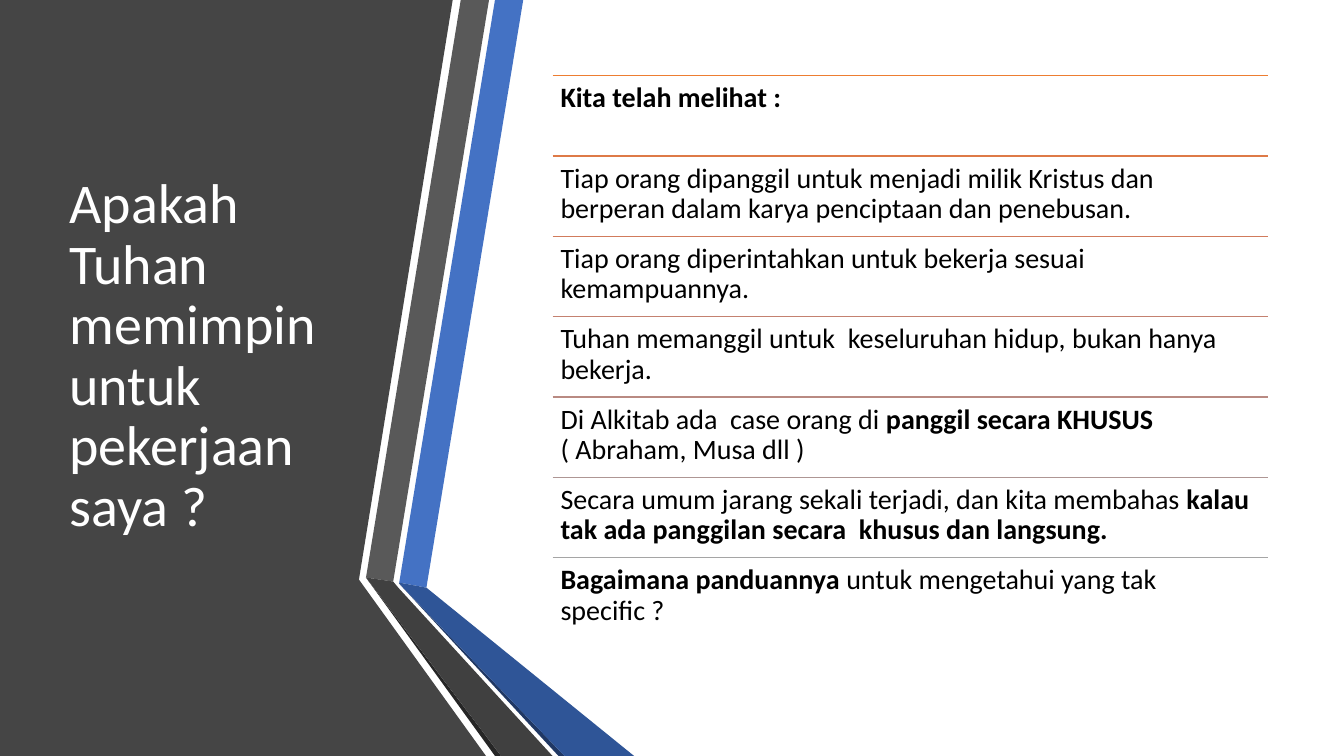
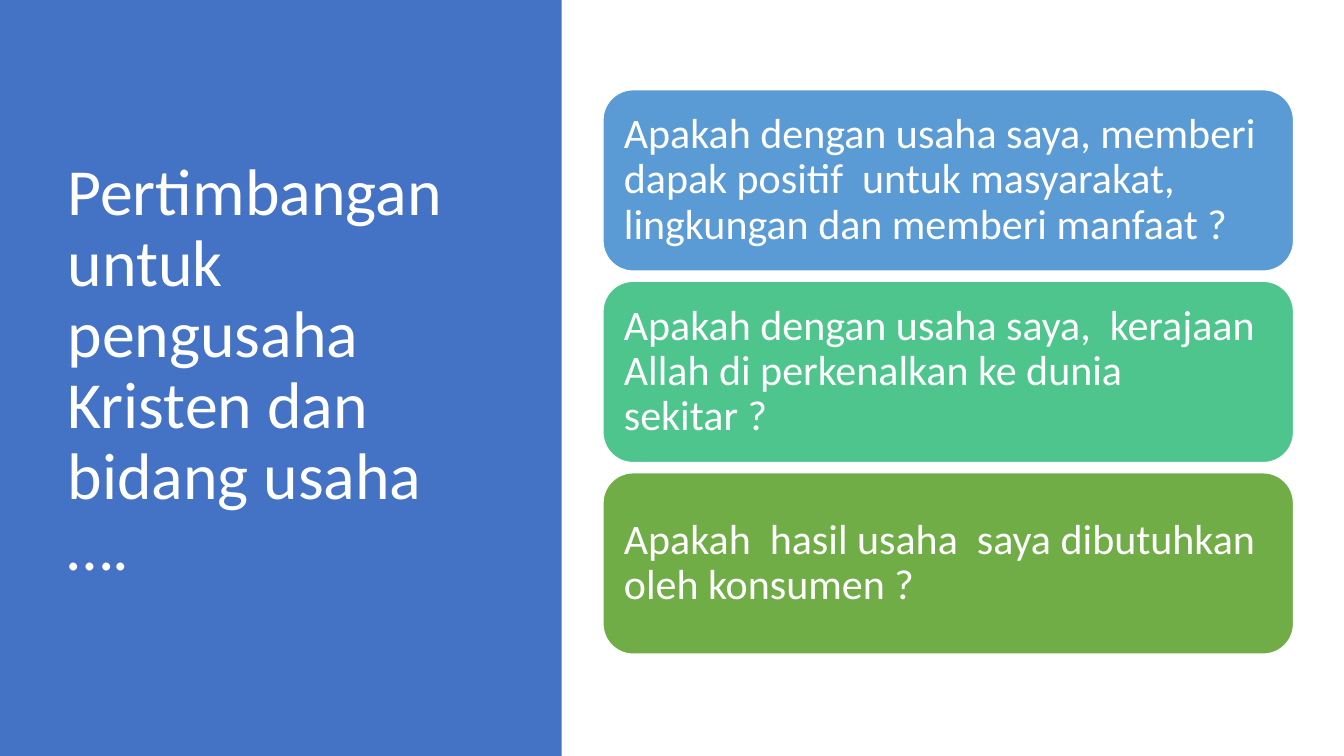
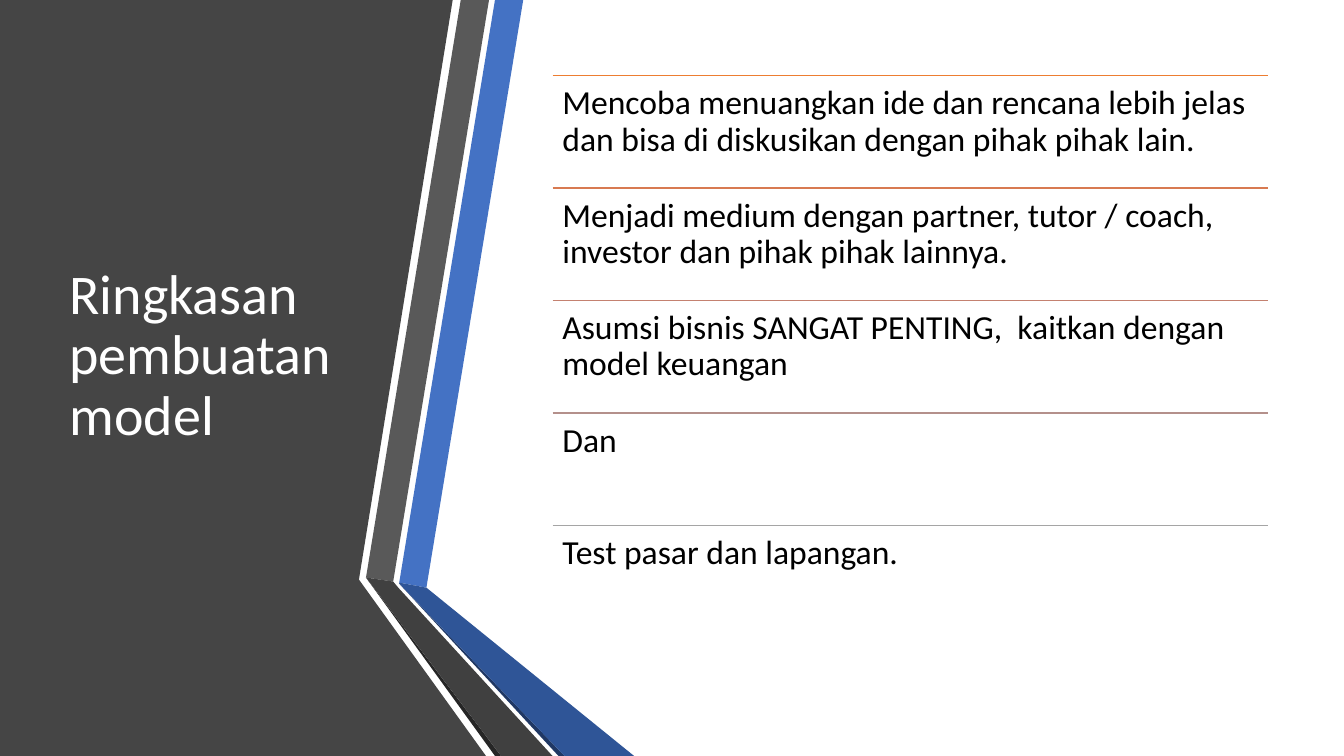
"""Build three slides on calling, business and modelling."""
from lxml.etree import SubElement
from pptx import Presentation
from pptx.dml.color import RGBColor as RGB
from pptx.enum.shapes import MSO_CONNECTOR as LINK, MSO_SHAPE as SHAPE
from pptx.enum.text import MSO_ANCHOR as ANCHOR, MSO_AUTO_SIZE as FIT, PP_ALIGN as ALIGN
from pptx.oxml.ns import qn
from pptx.util import Inches, Pt

WHITE = RGB(0xFF, 0xFF, 0xFF)
BLACK = RGB(0x00, 0x00, 0x00)
BLUE = RGB(0x44, 0x72, 0xC4)
NAVY = RGB(0x20, 0x38, 0x64)
DEEP = RGB(0x2F, 0x55, 0x97)
SLATE = RGB(0x45, 0x45, 0x45)
GREY = RGB(0x59, 0x59, 0x59)
COAL = RGB(0x40, 0x40, 0x40)
INK = RGB(0x26, 0x26, 0x26)
SKY = RGB(0x5B, 0x9B, 0xD5)
MINT = RGB(0x4D, 0xC5, 0x8D)
GREEN = RGB(0x70, 0xAD, 0x47)
ORANGE = RGB(0xED, 0x7D, 0x31)
AMBER = RGB(0xDE, 0x7A, 0x47)
RUST = RGB(0xD8, 0x7A, 0x51)
CLAY = RGB(0xD1, 0x7B, 0x5C)
ROSE = RGB(0xC4, 0x81, 0x70)
DUSK = RGB(0xB9, 0x8A, 0x82)
TAUPE = RGB(0xB4, 0x90, 0x8B)
MAUVE = RGB(0xAE, 0x96, 0x94)
SILVER = RGB(0xA5, 0xA5, 0xA5)

WIDE, HIGH = 13.33, 7.5
LEFT, TOP, WIDTH, HEIGHT = 5.48, 0.75, 7.1, 5.58

BANDS = [
    (SLATE, [(0, 0), (4.49, 0), (3.56, 5.75), (4.82, 7.5), (0, 7.5)]),
    (BLUE, [(3.96, 5.78), (4.23, 5.83), (5.19, 0), (4.91, 0)]),
    (GREY, [(4.85, 0), (4.57, 0), (3.63, 5.73), (3.9, 5.77)]),
    (INK, [(3.63, 5.73), (4.91, 7.5), (4.97, 7.5)]),
    (NAVY, [(3.96, 5.79), (5.54, 7.5), (5.6, 7.5)]),
    (DEEP, [(3.96, 5.79), (5.6, 7.5), (6.29, 7.5), (4.23, 5.83), (3.96, 5.78)]),
    (COAL, [(5.48, 7.5), (3.95, 5.83), (3.9, 5.77), (3.63, 5.73), (4.97, 7.5)]),
]

CALLS = [
    (ORANGE, "|Kita telah melihat :"),
    (AMBER, "Tiap orang dipanggil untuk menjadi milik Kristus dan berperan "
            "dalam karya penciptaan dan penebusan."),
    (CLAY, "Tiap orang diperintahkan untuk bekerja sesuai kemampuannya."),
    (ROSE, "Tuhan memanggil untuk  keseluruhan hidup, bukan hanya bekerja."),
    (DUSK, "Di Alkitab ada  case orang di |panggil secara KHUSUS |"
           "( Abraham, Musa dll )"),
    (MAUVE, "Secara umum jarang sekali terjadi, dan kita membahas |"
            "kalau tak ada panggilan secara  khusus dan langsung."),
    (SILVER, "|Bagaimana panduannya |untuk mengetahui yang tak specific ?"),
]

CARDS = [
    (SKY, "Apakah dengan usaha saya, memberi dapak positif  untuk masyarakat,  "
          "lingkungan dan memberi manfaat ?"),
    (MINT, "Apakah dengan usaha saya,  kerajaan Allah di perkenalkan ke dunia sekitar ?"),
    (GREEN, "Apakah  hasil usaha  saya dibutuhkan oleh konsumen ?"),
]

STEPS = [
    (ORANGE, "Mencoba menuangkan ide dan rencana lebih jelas dan bisa di "
             "diskusikan dengan pihak pihak lain."),
    (RUST, "Menjadi medium dengan partner, tutor / coach, investor dan pihak pihak lainnya."),
    (ROSE, "Asumsi bisnis SANGAT PENTING,  kaitkan dengan model keuangan"),
    (TAUPE, "Dan"),
    (SILVER, "Test pasar dan lapangan."),
]


def place(*box):
    """Turn numbers into lengths."""
    return [Inches(n) for n in box]


def paint(shape, fill, line=None):
    """Fill a shape, with an optional thin outline."""
    shape.shadow.inherit = False
    shape.fill.solid()
    shape.fill.fore_color.rgb = fill
    if line is None:
        shape.line.fill.background()
    else:
        shape.line.color.rgb = line
        shape.line.width = Pt(1)


def write(shape, text, size, color, anchor=ANCHOR.MIDDLE, inset=None):
    """Write one paragraph, bold in every second part between bars."""
    frame = shape.text_frame
    look = {"word_wrap": True, "auto_size": FIT.NONE, "vertical_anchor": anchor}
    if inset is not None:
        sides = ("left", "top", "right", "bottom")
        look.update({f"margin_{side}": Inches(inset) for side in sides})
    for key, value in look.items():
        setattr(frame, key, value)
    para = frame.paragraphs[0]
    para.alignment = ALIGN.LEFT
    para.line_spacing = 0.9
    for place_no, part in enumerate(text.split("|")):
        if part:
            run = para.add_run()
            run.text = part
            style = {"name": "Calibri", "size": Pt(size), "bold": place_no % 2 == 1}
            for key, value in style.items():
                setattr(run.font, key, value)
            run.font.color.rgb = color


def head(slide, text, size, box):
    """Bring the title to the front, place it and write it."""
    title = slide.shapes.title
    title.element.getparent().append(title.element)
    for key, value in zip(("left", "top", "width", "height"), place(*box)):
        setattr(title, key, value)
    write(title, text, size, WHITE)


def draw(slide, color, points):
    """Draw a filled polygon."""
    first, *rest = [place(*point) for point in points]
    pen = slide.shapes.build_freeform(*first)
    pen.add_line_segments(rest, close=True)
    paint(pen.convert_to_shape(), color)


def rule(slide, top, color):
    """Draw a thin line across the list."""
    line = slide.shapes.add_connector(
        LINK.STRAIGHT, *place(LEFT, top, LEFT + WIDTH, top))
    line.line.color.rgb = color
    line.line.width = Pt(1)
    SubElement(line.element.spPr, qn("a:effectLst"))


def ruled(slide, title, rows, size, inset):
    """Fill a slide with folded bands, a title and a ruled list."""
    for band in BANDS:
        draw(slide, *band)
    head(slide, title, 40, (0.59, TOP, 3.04, HEIGHT))
    step = HEIGHT / len(rows)
    for row, (color, text) in enumerate(rows):
        top = TOP + row * step
        rule(slide, top, color)
        box = slide.shapes.add_textbox(*place(LEFT, top, WIDTH, step))
        write(box, text, size, BLACK, ANCHOR.TOP, inset)


def stack(slide, title, cards):
    """Fill a slide with a side panel, a title and rounded cards."""
    panel = slide.shapes.add_shape(SHAPE.RECTANGLE, *place(0, 0, 5.57, HIGH))
    paint(panel, BLUE)
    head(slide, title, 47, (0.57, 0.68, 4.16, 6.02))
    for row, (color, text) in enumerate(cards):
        card = slide.shapes.add_shape(
            SHAPE.ROUNDED_RECTANGLE, *place(5.98, 0.89 + row * 1.9, 6.85, 1.8))
        paint(card, color, WHITE)
        write(card, text, 30, WHITE, inset=0.12)


def main():
    """Build and save the slides."""
    deck = Presentation()
    deck.slide_width, deck.slide_height = place(WIDE, HIGH)
    calls, cards, steps = [
        deck.slides.add_slide(deck.slide_layouts[5]) for _ in range(3)]
    ruled(calls, "Apakah Tuhan memimpin untuk pekerjaan saya ?", CALLS, 20, 0.08)
    stack(cards, "Pertimbangan untuk pengusaha Kristen dan bidang usaha ….", CARDS)
    ruled(steps, "Ringkasan pembuatan model", STEPS, 24, 0.1)
    deck.save("out.pptx")


if __name__ == "__main__":
    main()
